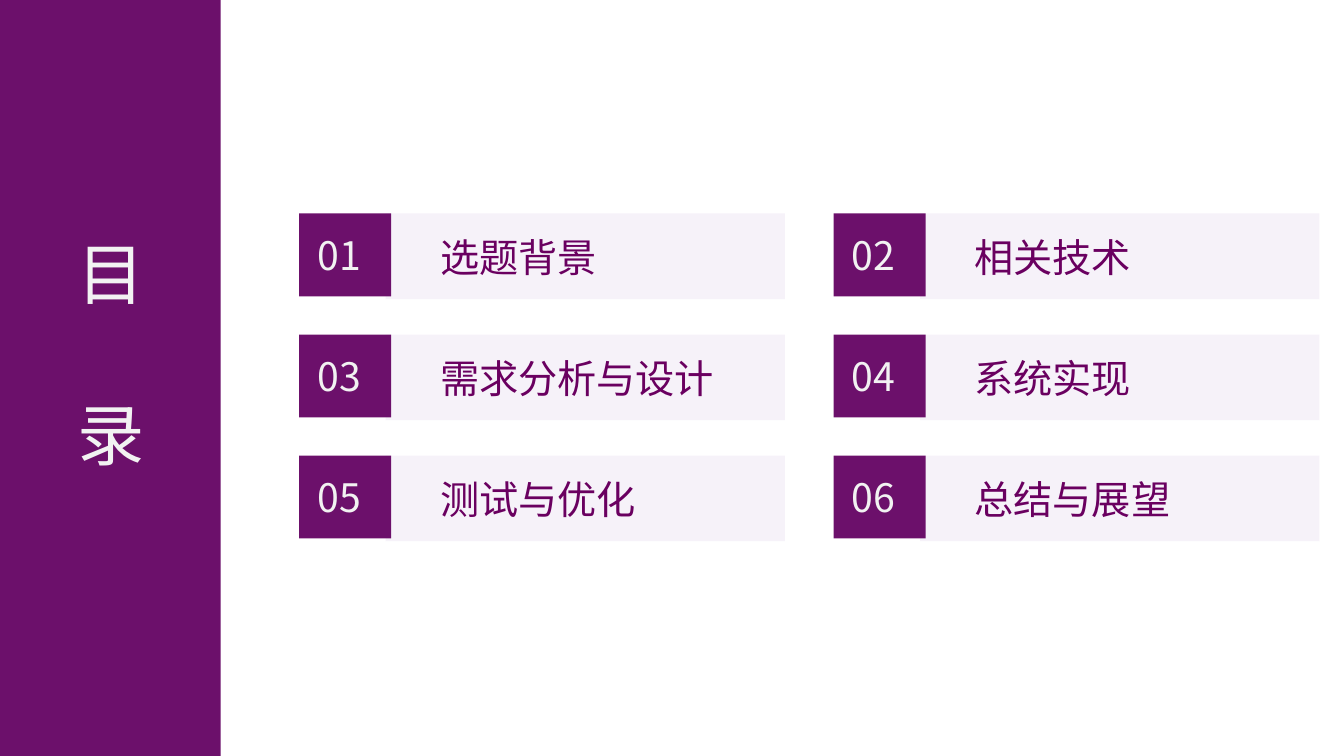
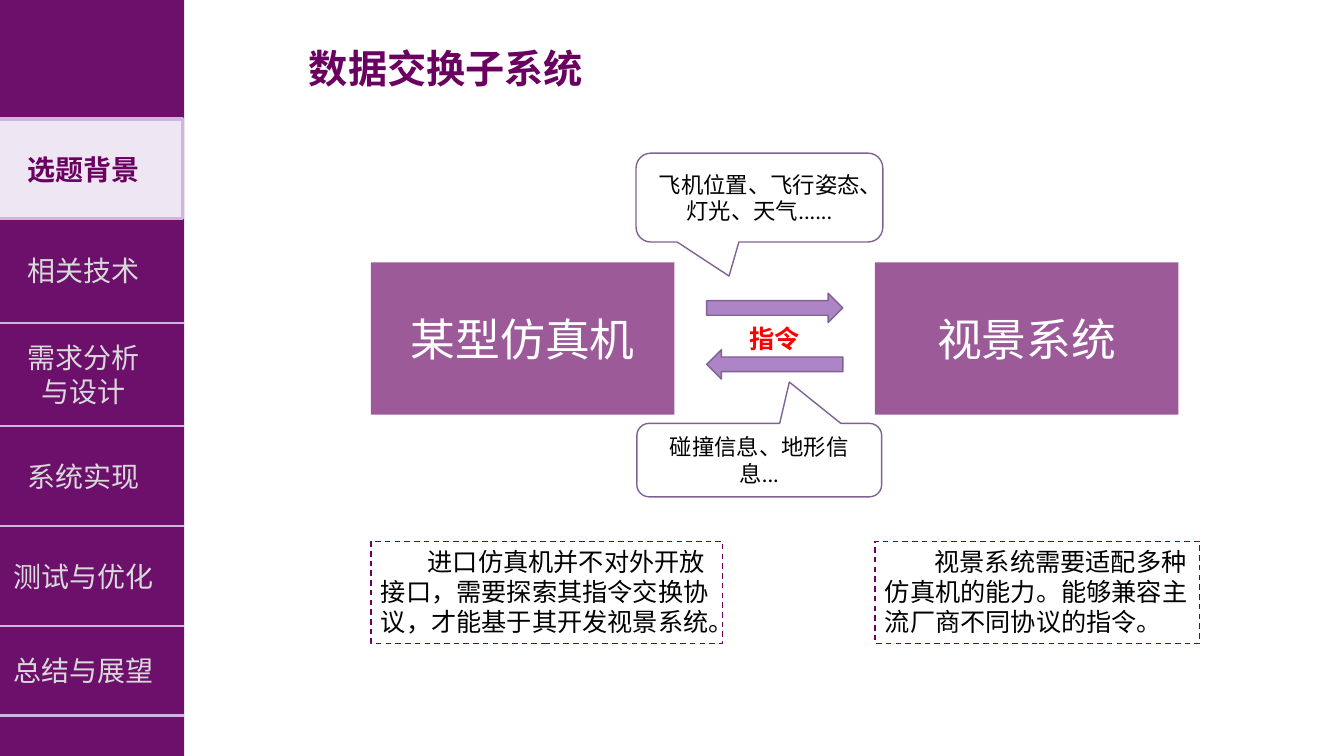
from itertools import pairwise

from lxml.etree import SubElement
from pptx import Presentation
from pptx.dml.color import RGBColor
from pptx.enum.dml import MSO_LINE
from pptx.enum.shapes import MSO_CONNECTOR, MSO_SHAPE
from pptx.enum.text import MSO_ANCHOR, PP_ALIGN
from pptx.oxml.ns import qn
from pptx.util import Cm, Pt

PURPLE = RGBColor(0x6C, 0x10, 0x6B)
DEEP_PURPLE = RGBColor(0x6A, 0x00, 0x60)
BLOCK_PURPLE = RGBColor(0x9C, 0x5A, 0x99)
ARROW_PURPLE = RGBColor(0xAD, 0x84, 0xC6)
OUTLINE_PURPLE = RGBColor(0x80, 0x62, 0x92)
RULE_LILAC = RGBColor(0xCE, 0xB5, 0xDD)
PALE_LILAC = RGBColor(0xEF, 0xE6, 0xF4)
OFF_WHITE = RGBColor(0xF2, 0xF2, 0xF2)
NAV_GREY = RGBColor(0xD9, 0xD9, 0xD9)
WHITE = RGBColor(0xFF, 0xFF, 0xFF)
BLACK = RGBColor(0, 0, 0)
RED = RGBColor(0xFF, 0, 0)
CJK_FONT = "Noto Sans CJK SC"
LATIN_FONT = "Calibri"

SLIDE_WIDTH, SLIDE_HEIGHT = 33.87, 19.05
LINE_PITCH = 1.2

CONTENTS_HEADING = ["目", "录"]
CHAPTERS = [["选题背景"], ["相关技术"], ["需求分析", "与设计"],
            ["系统实现"], ["测试与优化"], ["总结与展望"]]
CURRENT_CHAPTER = 0
NAV_RULES = [3, 5.51, 8.13, 10.74, 13.26, 15.77, 18.03]
NAV_WIDTH = 4.64

TITLE = "数据交换子系统"
SYSTEMS = [
    (9.35, "某型仿真机", 8.86, 1.18,
     "进口仿真机并不对外开放接口，需要探索其指令交换协议，才能基于其开发视景系统。"),
    (22.05, "视景系统", 8.18, 1.25,
     "视景系统需要适配多种仿真机的能力。能够兼容主流厂商不同协议的指令。"),
]
EXCHANGES = [
    (7.39, 0, "飞机位置、飞行姿态、灯光、天气......",
     (16.03, 3.86, 6.22, 2.24), (-0.123, 0.883, 0.167)),
    (8.81, 180, "碰撞信息、地形信息...",
     (16.05, 10.67, 6.17, 1.85), (0.123, -1.063, 0.167)),
]
EXCHANGE_LABEL = "指令"


def write(shape, lines, size, color, font=CJK_FONT, bold=False,
          align=PP_ALIGN.CENTER, anchor=MSO_ANCHOR.MIDDLE,
          left_inset=0.25, indent=0, gap=0):
    frame = shape.text_frame
    frame.word_wrap = True
    frame.vertical_anchor = anchor
    frame.margin_left = Cm(left_inset)
    frame.text = "\n".join(lines)
    for index, paragraph in enumerate(frame.paragraphs):
        paragraph.alignment = align
        paragraph.line_spacing = Pt(size * LINE_PITCH)
        if index and gap:
            paragraph.space_before = Pt(gap)
        properties = paragraph._p.get_or_add_pPr()
        if indent:
            properties.set("indent", str(Cm(indent)))
        paragraph.font.size = Pt(size)
        paragraph.font.bold = bold
        paragraph.font.color.rgb = color
        paragraph.font.name = font
        defaults = properties.find(qn("a:defRPr"))
        SubElement(defaults, qn("a:ea")).set("typeface", CJK_FONT)


def add_box(slide, box, fill=None, line=None, width=1, kind=MSO_SHAPE.RECTANGLE):
    shape = slide.shapes.add_shape(kind, *map(Cm, box))
    shape.shadow.inherit = False
    if fill is None:
        shape.fill.background()
    else:
        shape.fill.solid()
        shape.fill.fore_color.rgb = fill
    if line is None:
        shape.line.fill.background()
    else:
        shape.line.color.rgb = line
        shape.line.width = Pt(width)
    return shape


def add_label(slide, box, lines, size, color, **style):
    write(slide.shapes.add_textbox(*map(Cm, box)), lines, size, color, **style)


def add_sidebar(slide, width):
    add_box(slide, (0, 0, width, SLIDE_HEIGHT), PURPLE)


def add_rule(slide, y):
    rule = slide.shapes.add_connector(
        MSO_CONNECTOR.STRAIGHT, Cm(0), Cm(y), Cm(NAV_WIDTH), Cm(y))
    rule.line.color.rgb = RULE_LILAC
    rule.line.width = Pt(1.5)
    SubElement(rule._element.spPr, qn("a:effectLst"))


def make_half_transparent(shape):
    color = shape._element.spPr.find(qn("a:solidFill")).find(qn("a:srgbClr"))
    SubElement(color, qn("a:alpha")).set("val", "50000")


def build_contents(slide):
    add_sidebar(slide, 5.56)
    add_label(slide, (1.68, 5.72, 2.24, 6.4), CONTENTS_HEADING, 48, OFF_WHITE,
              anchor=MSO_ANCHOR.TOP, gap=48 * LINE_PITCH)
    for index, chapter in enumerate(CHAPTERS):
        row, column = divmod(index, 2)
        x, y = 7.54 + column * 13.47, 5.38 + row * 3.05
        bar = add_box(slide, (x + 2.18, y, 10.06, 2.16), PALE_LILAC)
        make_half_transparent(bar)
        write(bar, ["".join(chapter)], 28, DEEP_PURPLE,
              align=PP_ALIGN.LEFT, left_inset=1.37)
        number = add_box(slide, (x, y, 2.32, 2.09), PURPLE)
        write(number, [f"{index + 1:02}"], 28, OFF_WHITE,
              align=PP_ALIGN.LEFT, left_inset=0.46)


def add_navigation(slide):
    add_sidebar(slide, NAV_WIDTH)
    for index, (chapter, (top, bottom)) in enumerate(
            zip(CHAPTERS, pairwise(NAV_RULES))):
        current = index == CURRENT_CHAPTER
        if current:
            add_box(slide, (-0.48, top, 5.08, bottom - top),
                    PALE_LILAC, RULE_LILAC, 2.25)
        else:
            add_rule(slide, bottom)
        add_label(slide, (0, top, 4.2, bottom - top), chapter, 20,
                  DEEP_PURPLE if current else NAV_GREY, bold=current)


def build_exchange(slide):
    add_navigation(slide)
    add_label(slide, (7.39, 0.99, 7.7, 1.45), [TITLE], 28, DEEP_PURPLE, bold=True)
    for x, system, note_width, indent, note in SYSTEMS:
        block = add_box(slide, (x, 6.61, 7.65, 3.84), BLOCK_PURPLE)
        write(block, [system], 32, WHITE)
        note_box = add_box(slide, (x, 13.64, note_width, 2.57), line=DEEP_PURPLE)
        note_box.line.dash_style = MSO_LINE.DASH
        write(note_box, [note], 18, BLACK, font=LATIN_FONT, align=PP_ALIGN.LEFT,
              anchor=MSO_ANCHOR.TOP, indent=indent)
    for y, rotation, message, bubble_box, pointer in EXCHANGES:
        arrow = add_box(slide, (17.81, y, 3.43, 0.74), ARROW_PURPLE,
                        OUTLINE_PURPLE, kind=MSO_SHAPE.RIGHT_ARROW)
        arrow.rotation = rotation
        bubble = add_box(slide, bubble_box, line=OUTLINE_PURPLE,
                         kind=MSO_SHAPE.ROUNDED_RECTANGULAR_CALLOUT)
        for index, value in enumerate(pointer):
            bubble.adjustments[index] = value
        write(bubble, [message], 16, BLACK, font=LATIN_FONT)
    add_label(slide, (18.64, 8.03, 2.39, 1.02), [EXCHANGE_LABEL], 18, RED,
              font=LATIN_FONT, bold=True, align=PP_ALIGN.LEFT)


def main():
    deck = Presentation()
    deck.slide_width, deck.slide_height = Cm(SLIDE_WIDTH), Cm(SLIDE_HEIGHT)
    for build in (build_contents, build_exchange):
        build(deck.slides.add_slide(deck.slide_layouts[6]))
    deck.save("out.pptx")


if __name__ == "__main__":
    main()
